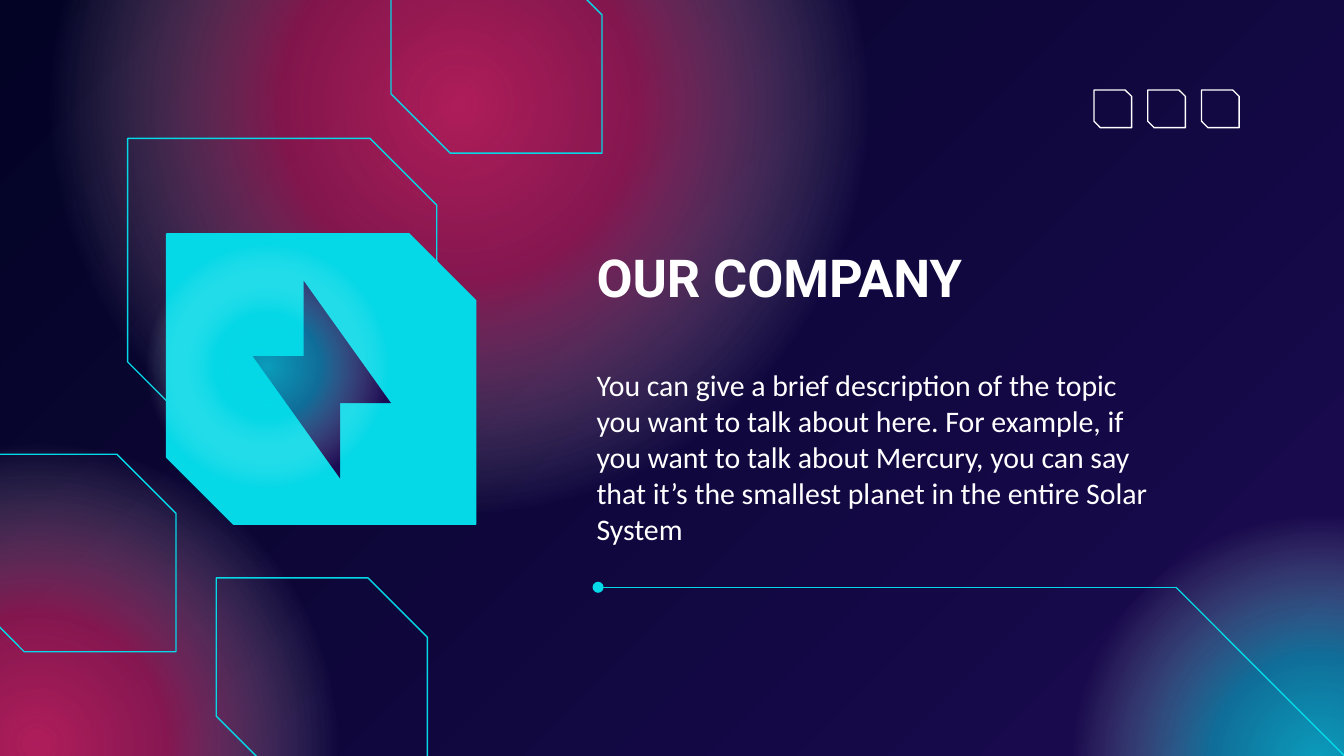
from dataclasses import dataclass

from lxml import etree
from pptx import Presentation
from pptx.dml.color import RGBColor
from pptx.enum.shapes import MSO_CONNECTOR, MSO_SHAPE
from pptx.enum.text import MSO_ANCHOR
from pptx.oxml import parse_xml
from pptx.oxml.ns import nsdecls, qn
from pptx.util import Inches, Pt


@dataclass(frozen=True)
class Theme:
    night: str = "030325"
    violet: str = "1B0B52"
    cyan: str = "05D8E7"
    pink: str = "FF296D"
    white: str = "FFFFFF"
    title_font: str = "Roboto"
    body_font: str = "Calibri"
    title_size: int = 28
    body_size: int = 16
    line: float = 0.75


T = Theme()


def rgb(color):
    return RGBColor.from_string(color)


def add_shape(shapes, kind, x, y, w, h, fill=None, line=None):
    sp = shapes.add_shape(kind, Inches(x), Inches(y), Inches(w), Inches(h))
    sp.shadow.inherit = False
    if fill:
        sp.fill.solid()
        sp.fill.fore_color.rgb = rgb(fill)
    else:
        sp.fill.background()
    if line:
        sp.line.color.rgb = rgb(line)
        sp.line.width = Pt(T.line)
    else:
        sp.line.fill.background()
    return sp


def add_tile(shapes, x, y, w, h, snip, line=T.cyan, fill=None):
    """Rectangle with its top right and bottom left corners cut."""
    sp = add_shape(shapes, MSO_SHAPE.SNIP_2_DIAG_RECTANGLE, x, y, w, h, fill, line)
    sp.adjustments[0] = 0
    sp.adjustments[1] = snip
    return sp


def add_glow(shapes, x, y, size, color, alphas):
    """Circle that fades from its centre to clear white."""
    sp = add_shape(shapes, MSO_SHAPE.OVAL, x, y, size, size)
    stops = zip((0, 30, 69, 100), (color, color, T.white, T.white), (*alphas, 0, 0))
    gs = "".join(
        f'<a:gs pos="{pos * 1000}"><a:srgbClr val="{c}">'
        f'<a:alpha val="{alpha * 1000}"/></a:srgbClr></a:gs>'
        for pos, c, alpha in stops)
    grad = parse_xml(
        f'<a:gradFill {nsdecls("a")} rotWithShape="1"><a:gsLst>{gs}</a:gsLst>'
        '<a:path path="circle"><a:fillToRect l="50000" t="50000" r="50000" b="50000"/>'
        '</a:path></a:gradFill>')
    spPr = sp._element.spPr
    spPr.replace(spPr.find(qn("a:noFill")), grad)


def add_line(shapes, x1, y1, x2, y2, dot=False):
    cxn = shapes.add_connector(
        MSO_CONNECTOR.STRAIGHT, Inches(x1), Inches(y1), Inches(x2), Inches(y2))
    cxn.line.color.rgb = rgb(T.cyan)
    cxn.line.width = Pt(T.line)
    spPr = cxn._element.spPr
    if dot:
        etree.SubElement(spPr.find(qn("a:ln")), qn("a:tailEnd"), type="oval")
    etree.SubElement(spPr, qn("a:effectLst"))


def add_text(shapes, text, x, y, w, h, *, size, font, bold=False,
             anchor=MSO_ANCHOR.TOP, after=0):
    tf = shapes.add_textbox(Inches(x), Inches(y), Inches(w), Inches(h)).text_frame
    tf.word_wrap = True
    tf.vertical_anchor = anchor
    tf.margin_left = tf.margin_right = tf.margin_top = tf.margin_bottom = Inches(0.1)
    p = tf.paragraphs[0]
    p.space_after = Pt(after)
    r = p.add_run()
    r.text = text
    r.font.size = Pt(size)
    r.font.name = font
    r.font.bold = bold
    r.font.color.rgb = rgb(T.white)


def add_background(s):
    fill = s.background.fill
    fill.gradient()
    fill.gradient_angle = 315
    for stop, color in zip(fill.gradient_stops, (T.night, T.violet)):
        stop.color.rgb = rgb(color)
    for x, y, size, color, alphas in (
            (-2.02, 3.24, 4.58, T.pink, (67, 49)),
            (0.29, -2.35, 6.25, T.pink, (67, 49)),
            (7.93, 3.79, 3.76, T.cyan, (71, 48))):
        add_glow(s.shapes, x, y, size, color, alphas)


def add_emblem(s, x, y):
    """Outlined tile, filled tile over it, and a lightning bolt."""
    w, h, snip = 2.3, 2.16, 0.23
    add_tile(s.shapes, x, y, w, h, snip)
    add_tile(s.shapes, x + 0.29, y + 0.71, w, h, snip, fill=T.cyan)
    bolt = s.shapes.add_group_shape().shapes
    for dx, dy, turn in ((1.31, 1.06, 0), (0.93, 1.62, 180)):
        sp = add_shape(bolt, MSO_SHAPE.RIGHT_TRIANGLE, x + dx, y + dy,
                       0.65, 0.91, T.violet)
        sp.rotation = turn


def add_outline_tiles(s):
    for x, y in ((2.91, -0.33), (-0.26, 3.38), (1.61, 4.3)):
        add_tile(s.shapes, x, y, 1.57, 1.47, 0.3)


def add_rule(s, x, y, w, drop):
    """Level line from a dot, then a diagonal down to the corner."""
    shapes = s.shapes.add_group_shape().shapes
    add_line(shapes, x + w + drop, y + drop, x + w, y)
    add_line(shapes, x + w, y, x, y, dot=True)


def add_marks(s, x, y, size=0.28, step=0.4):
    shapes = s.shapes.add_group_shape().shapes
    for i in range(3):
        add_tile(shapes, x + i * step, y, size, size, 0.17, line=T.white)


def add_copy(s, x, y, w):
    add_text(s.shapes, "OUR COMPANY", x, y, w, 0.67, size=T.title_size,
             font=T.title_font, bold=True, anchor=MSO_ANCHOR.BOTTOM)
    add_text(s.shapes,
             "You can give a brief description of the topic you want to talk about "
             "here. For example, if you want to talk about Mercury, you can say that "
             "it’s the smallest planet in the entire Solar System",
             x, y + 0.91, w, 1.28, size=T.body_size, font=T.body_font, after=12)


def main():
    prs = Presentation()
    # Widescreen, 16:9
    prs.slide_width, prs.slide_height = Inches(10), Inches(10 * 9 / 16)
    s = prs.slides.add_slide(prs.slide_layouts[6])

    # Backdrop
    add_background(s)

    # Left artwork
    add_emblem(s, 0.95, 1.03)
    add_outline_tiles(s)
    add_glow(s.shapes, 1.06, 1.8, 1.85, T.cyan, (71, 48))

    # Right side
    add_rule(s, 4.45, 4.37, 4.3, 1.32)
    add_marks(s, 8.14, 0.67)
    add_copy(s, 4.34, 1.72, 4.42)

    prs.save("out.pptx")


if __name__ == "__main__":
    main()
